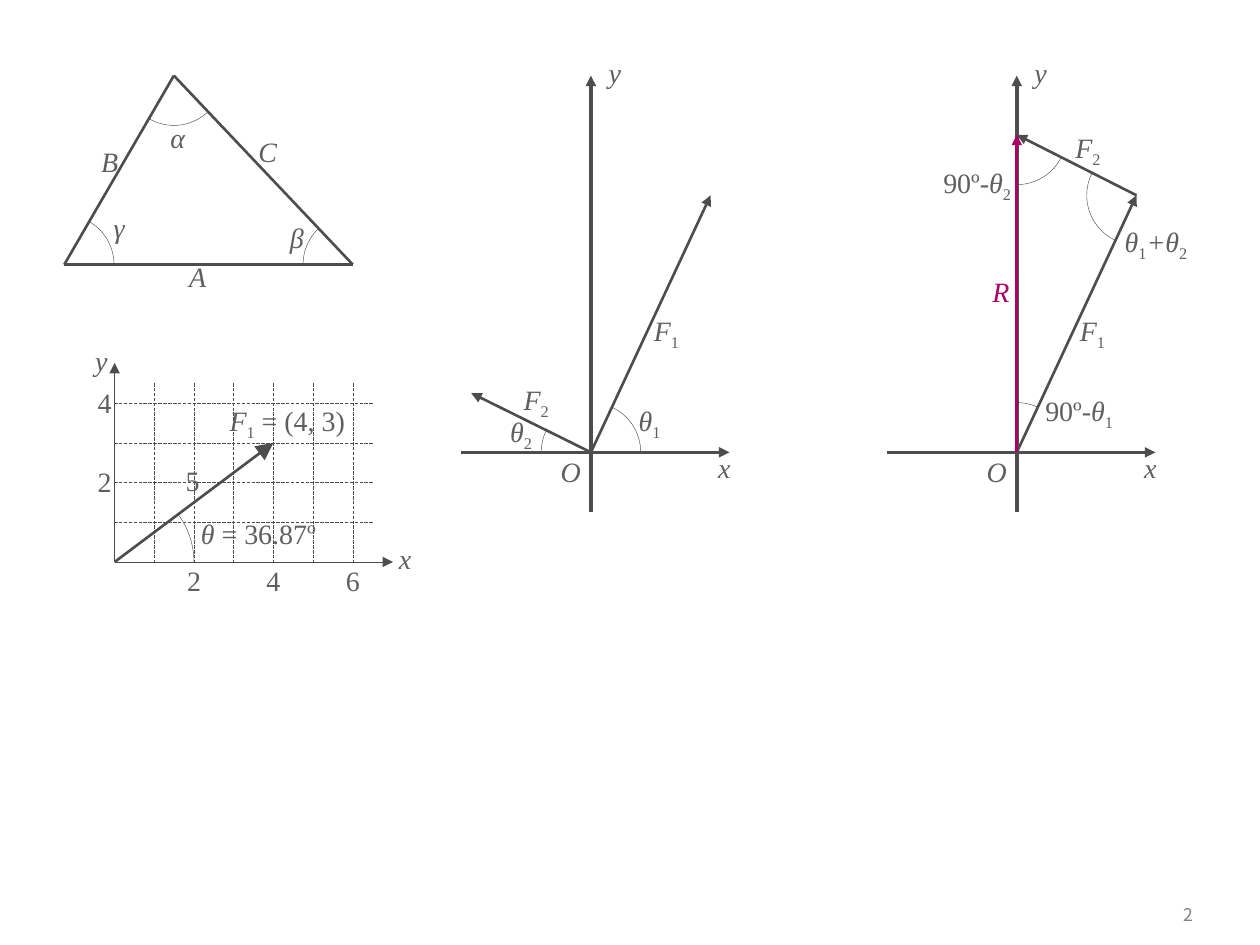
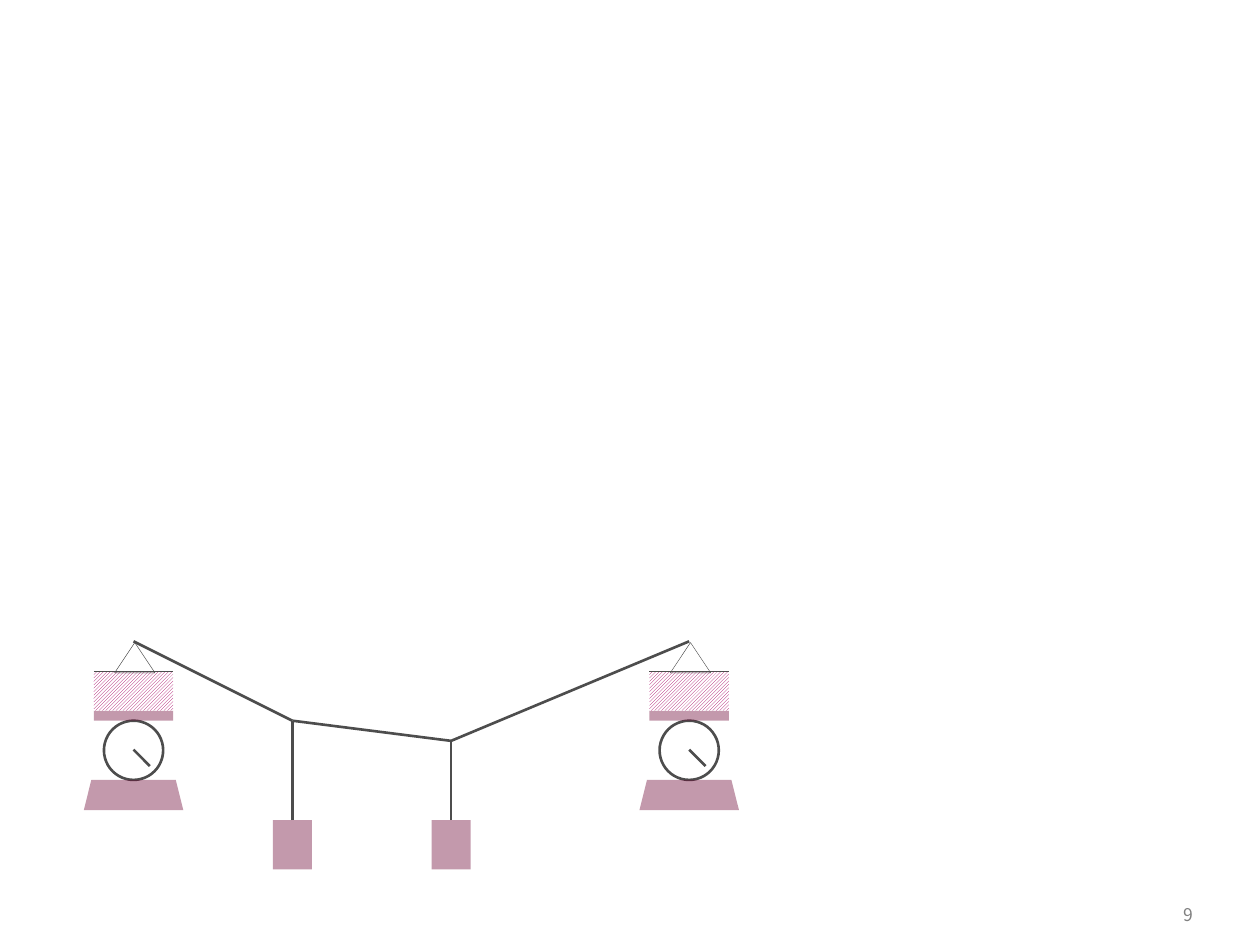
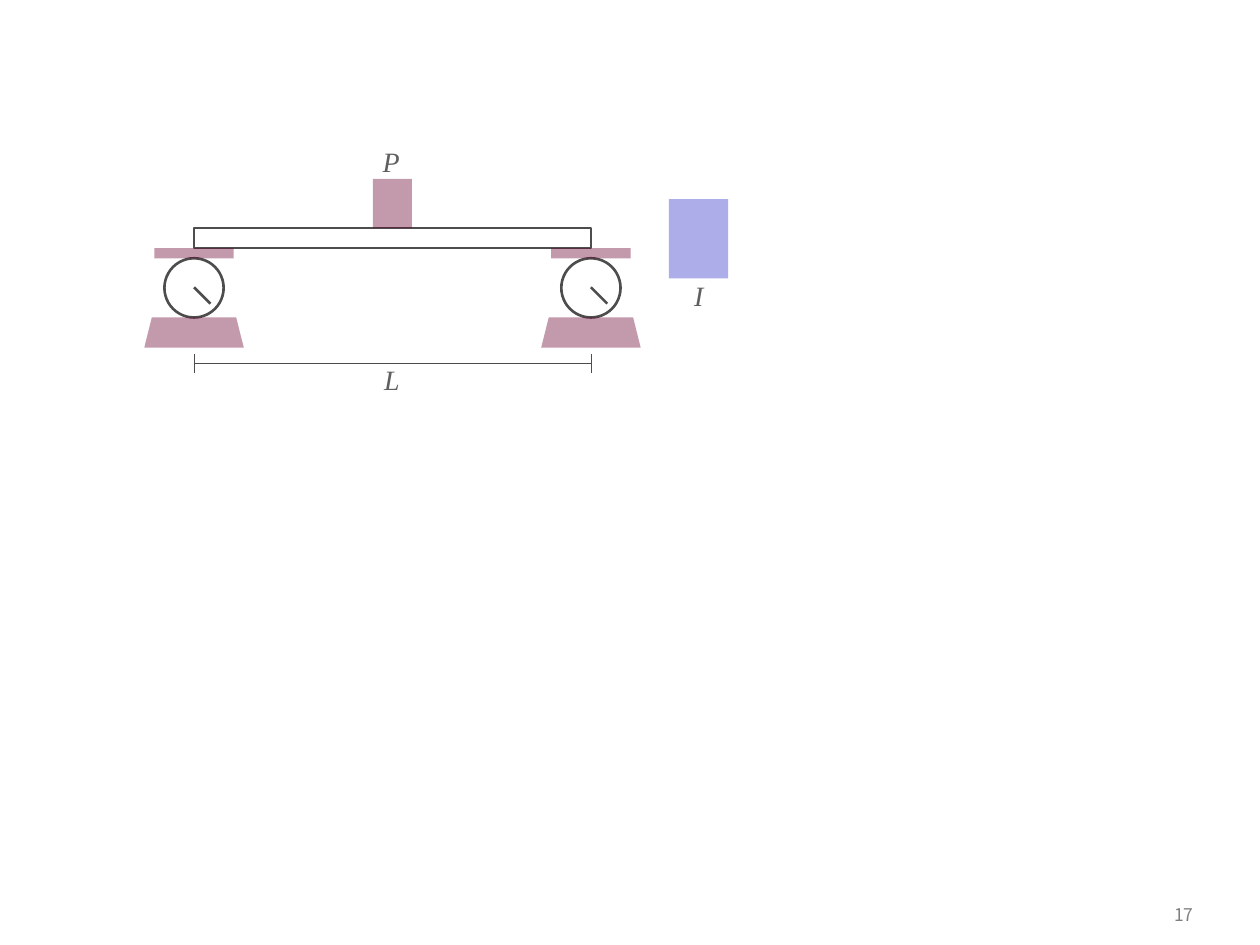
import math

import lxml.etree
import pptx
import pptx.dml.color
import pptx.enum.dml
import pptx.enum.shapes
import pptx.enum.text
import pptx.oxml.ns
import pptx.util

Inches = pptx.util.Inches
SHAPE = pptx.enum.shapes.MSO_SHAPE
ANCHOR = pptx.enum.text.MSO_ANCHOR
ALIGN = pptx.enum.text.PP_ALIGN

COLORS = {
    "ink": "4D4D4D",
    "label": "5F5F5F",
    "number": "808080",
    "accent": "A90165",
    "solid": "6B0131",
    "section": "3333CC",
    "white": "FFFFFF",
}
MATH_FONT, NUMBER_FONT = "Times New Roman", "Noto Sans CJK KR"
HAIR, THIN, MEDIUM, BOLD = 0, 0.25, 0.75, 1.5

# Spans of a label: text and style
F1 = [("F", "italic"), ("1", "sub")]
F2 = [("F", "italic"), ("2", "sub")]
THETA1 = [("θ", "italic"), ("1", "sub")]
THETA2 = [("θ", "italic"), ("2", "sub")]
RIGHT_ANGLE = [("90º-", "plain")]


def rgb(name):
    return pptx.dml.color.RGBColor.from_string(COLORS[name])


def add_child(parent, tag, **attributes):
    return lxml.etree.SubElement(parent, pptx.oxml.ns.qn(tag), attributes)


class Sketch:
    """Holds the drawing style and the current page."""

    def __init__(self):
        self.deck = pptx.Presentation()
        self.deck.slide_width, self.deck.slide_height = Inches(10), Inches(7.5)
        self.page = None

    def new_page(self, number):
        self.page = self.deck.slides.add_slide(self.deck.slide_layouts[6])
        self.text([(str(number), "plain")], 8.86, 7.09, 0.71, 0.33, size=10,
                  font=NUMBER_FONT, color="number", align=ALIGN.RIGHT,
                  anchor=ANCHOR.MIDDLE, inset=True)

    def text(self, spans, left, top, width, height=0.27, size=16, font=MATH_FONT,
             color="label", align=ALIGN.CENTER, anchor=ANCHOR.TOP, inset=False):
        """A plain string is one italic symbol."""
        if isinstance(spans, str):
            spans = [(spans, "italic")]
        box = self.page.shapes.add_textbox(
            Inches(left), Inches(top), Inches(width), Inches(height))
        frame = box.text_frame
        frame.word_wrap = False
        frame.vertical_anchor = anchor
        if not inset:
            frame.margin_left = frame.margin_right = 0
            frame.margin_top = frame.margin_bottom = 0
        para = frame.paragraphs[0]
        para.alignment = align
        para.font.name, para.font.size = font, pptx.util.Pt(size)
        para.font.color.rgb = rgb(color)
        for words, style in spans:
            span = para.add_run()
            span.text = words
            span.font.italic = style == "italic"
            if style == "sub":
                span._r.get_or_add_rPr().set("baseline", "-25000")

    def line(self, start, end, weight=BOLD, color="ink", arrow=None, dashed=False):
        """arrow is the size of the head at the end: med or lg."""
        link = self.page.shapes.add_connector(
            pptx.enum.shapes.MSO_CONNECTOR.STRAIGHT,
            *[Inches(value) for value in (*start, *end)])
        link.line.color.rgb = rgb(color)
        link.line.width = pptx.util.Pt(weight)
        if dashed:
            link.line.dash_style = pptx.enum.dml.MSO_LINE.LONG_DASH
        if arrow:
            add_child(link.line._get_or_add_ln(), "a:tailEnd",
                      type="triangle", w=arrow, len=arrow)
        add_child(link._element.spPr, "a:effectLst")

    def shape(self, kind, left, top, width, height, fill=None, weight=None):
        """Solid fills are 40 % opaque; no weight means no outline."""
        form = self.page.shapes.add_shape(
            kind, Inches(left), Inches(top), Inches(width), Inches(height))
        form.shadow.inherit = False
        if fill:
            form.fill.solid()
            form.fill.fore_color.rgb = rgb(fill)
            tint = form._element.spPr.find(".//" + pptx.oxml.ns.qn("a:srgbClr"))
            add_child(tint, "a:alpha", val="40000")
        else:
            form.fill.background()
        if weight is None:
            form.line.fill.background()
        else:
            form.line.color.rgb = rgb("ink")
            form.line.width = pptx.util.Pt(weight)
        return form

    def angle(self, corner, first, second, radius=0.395):
        """Arc about corner, clockwise from the ray to first to that to second."""
        x, y = corner
        arc = self.shape(SHAPE.ARC, x - radius, y - radius,
                         2 * radius, 2 * radius, weight=THIN)
        for index, (px, py) in enumerate((first, second)):
            degrees = math.degrees(math.atan2(py - y, px - x)) % 360
            arc.adjustments[index] = degrees * 0.6

    def hatch(self, left, top, width, height):
        block = self.shape(SHAPE.RECTANGLE, left, top, width, height)
        block.fill.patterned()
        block.fill.pattern = pptx.enum.dml.MSO_PATTERN.LIGHT_UPWARD_DIAGONAL
        block.fill.fore_color.rgb = rgb("accent")
        block.fill.back_color.rgb = rgb("white")

    def force_axes(self, origin):
        """Axes with the force F1, whose tip is returned."""
        x, y = origin
        tip = (x + 0.95, 1.55)
        self.line((x, 4.06), (x, 0.6), HAIR, arrow="med")
        self.line((x - 1.03, y), (x + 1.1, y), HAIR, arrow="med")
        self.text("O", x - 0.34, 3.56, 0.36, 0.37, inset=True)
        self.text("x", x + 1.01, 3.58, 0.1)
        self.text("y", x + 0.14, 0.44, 0.1)
        self.line(origin, tip, arrow="med")
        self.text(F1, x + 0.47, 2.49, 0.26)
        return tip

    def scale(self, center, top):
        """Weighing scale: dial, base, plate and needle."""
        self.shape(SHAPE.OVAL, center - 0.235, top + 0.08, 0.47, 0.47, "white", BOLD)
        self.shape(SHAPE.TRAPEZOID, center - 0.395, top + 0.55, 0.79, 0.24, "solid")
        self.shape(SHAPE.RECTANGLE, center - 0.315, top, 0.63, 0.08, "solid")
        self.line((center, top + 0.31), (center + 0.13, top + 0.44))

    def weight(self, center, top):
        self.shape(SHAPE.RECTANGLE, center - 0.155, top, 0.31, 0.39, "solid")


sketch = Sketch()

# Page 2: triangle, force addition and a vector on a grid
sketch.new_page(2)

left, right, apex = (0.51, 2.1), (2.8, 2.1), (1.38, 0.6)
for start, end in ((left, apex), (right, apex), (right, left)):
    sketch.line(start, end)
sketch.angle(right, left, apex)
sketch.angle(apex, right, left)
sketch.angle(left, apex, right)
for symbol, x, y, width in (("α", 1.35, 0.96, 0.12), ("γ", 0.9, 1.67, 0.09),
                            ("β", 2.3, 1.75, 0.11), ("A", 1.5, 2.06, 0.14),
                            ("B", 0.8, 1.15, 0.14), ("C", 2.05, 1.07, 0.15)):
    sketch.text(symbol, x, y, width)

# Two forces from one point
origin = (4.69, 3.59)
tip1, tip2 = sketch.force_axes(origin), (3.74, 3.12)
sketch.line(origin, tip2, arrow="med")
sketch.angle(origin, tip1, (5.79, 3.59))
sketch.angle(origin, (3.66, 3.59), tip2)
sketch.text(F2, 4.15, 3.04, 0.21)
sketch.text(THETA1, 5.06, 3.2, 0.19)
sketch.text(THETA2, 4.04, 3.29, 0.19)

# The forces head to tail, with their resultant
origin, total = (8.07, 3.59), (8.07, 1.07)
tip1 = sketch.force_axes(origin)
sketch.line(tip1, total, arrow="med")
sketch.line(origin, total, color="accent", arrow="med")
sketch.angle(origin, total, tip1)
sketch.angle(total, tip1, origin)
sketch.angle(tip1, origin, total)
sketch.text("R", 7.83, 2.18, 0.23, color="accent")
sketch.text(F2, 8.53, 1.04, 0.21)
sketch.text(RIGHT_ANGLE + THETA1, 8.23, 3.12, 0.67)
sketch.text(THETA1 + [("+", "italic")] + THETA2, 8.86, 1.78, 0.63, 0.31)
sketch.text(RIGHT_ANGLE + THETA2, 7.44, 1.31, 0.63, 0.31)

# Vector on a grid
x0, y0, step = 0.91, 4.46, 0.315
origin, tip = (x0, y0), (x0 + 4 * step, y0 - 3 * step)
sketch.line(origin, tip, arrow="lg")
sketch.line(origin, (3.12, y0), THIN, arrow="med")
sketch.line(origin, (x0, 2.88), THIN, arrow="med")
for count in range(1, 7):
    x = x0 + count * step
    sketch.line((x, 3.04), (x, y0), THIN, dashed=True)
for count in range(1, 5):
    y = y0 - count * step
    sketch.line((2.96, y), (x0, y), THIN, dashed=True)
sketch.angle(origin, tip, (3.12, y0), radius=2 * step)

grid_labels = [
    ("x", 3.14, 4.3, 0.15, 0.26),
    ("y", 0.73, 2.73, 0.15, 0.26),
    ([("θ", "italic"), (" = 36.87º", "plain")], 1.54, 4.09, 1.02, 0.29),
    ([("5", "plain")], 1.38, 3.67, 0.3, 0.29),
    (F1 + [(" = (4, 3)", "plain")], 1.77, 3.2, 1.02, 0.31),
]
for tick in (2, 4, 6):
    grid_labels.append(
        ([(str(tick), "plain")], x0 + tick * step - 0.15, y0, 0.3, 0.29))
for tick in (2, 4):
    grid_labels.append(
        ([(str(tick), "plain")], 0.68, y0 - tick * step - 0.155, 0.3, 0.29))
for label in grid_labels:
    sketch.text(*label, anchor=ANCHOR.MIDDLE)

# Page 9: rope between two scales with two hanging weights
sketch.new_page(9)
plate, block = 5.64, 5.33
rope = [(1.06, 5.09), (2.32, 5.72), (3.58, 5.88), (5.47, 5.09)]
for center in (rope[0][0], rope[-1][0]):
    sketch.scale(center, plate)
    sketch.hatch(center - 0.315, block, 0.63, plate - block)
    sketch.line((center - 0.315, block), (center + 0.315, block), THIN)
    sketch.shape(SHAPE.ISOSCELES_TRIANGLE, center - 0.15, 5.1, 0.32, 0.24, weight=THIN)
for start, end in zip(rope, rope[1:]):
    sketch.line(start, end)
for x, y in rope[1:-1]:
    sketch.line((x, 6.51), (x, y))
    sketch.weight(x, 6.51)

# Page 17: loaded beam on two scales
sketch.new_page(17)
start, end = 1.54, 4.69
sketch.shape(SHAPE.RECTANGLE, start, 1.81, end - start, 0.16, weight=MEDIUM)
sketch.text("P", 2.95, 1.15, 0.31)
sketch.weight((start + end) / 2, 1.42)

# Cross section
sketch.text("I", 5.39, 2.21, 0.31)
sketch.shape(SHAPE.RECTANGLE, 5.31, 1.58, 0.47, 0.63, "section")

# Span and supports
sketch.line((start, 2.88), (end, 2.88), THIN)
sketch.text("L", 3.03, 2.88, 0.16)
for x in (start, end):
    sketch.line((x, 2.81), (x, 2.96), THIN)
    sketch.scale(x, 1.97)

sketch.deck.save("out.pptx")
